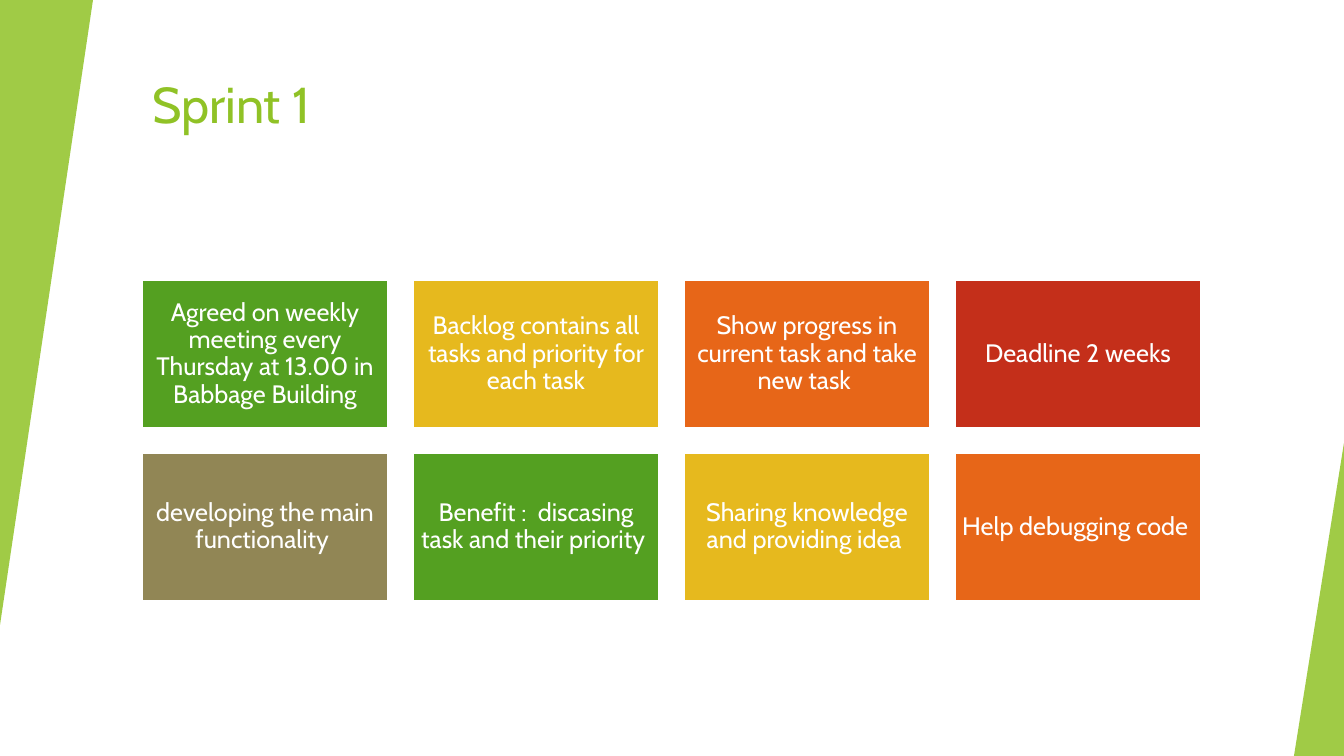
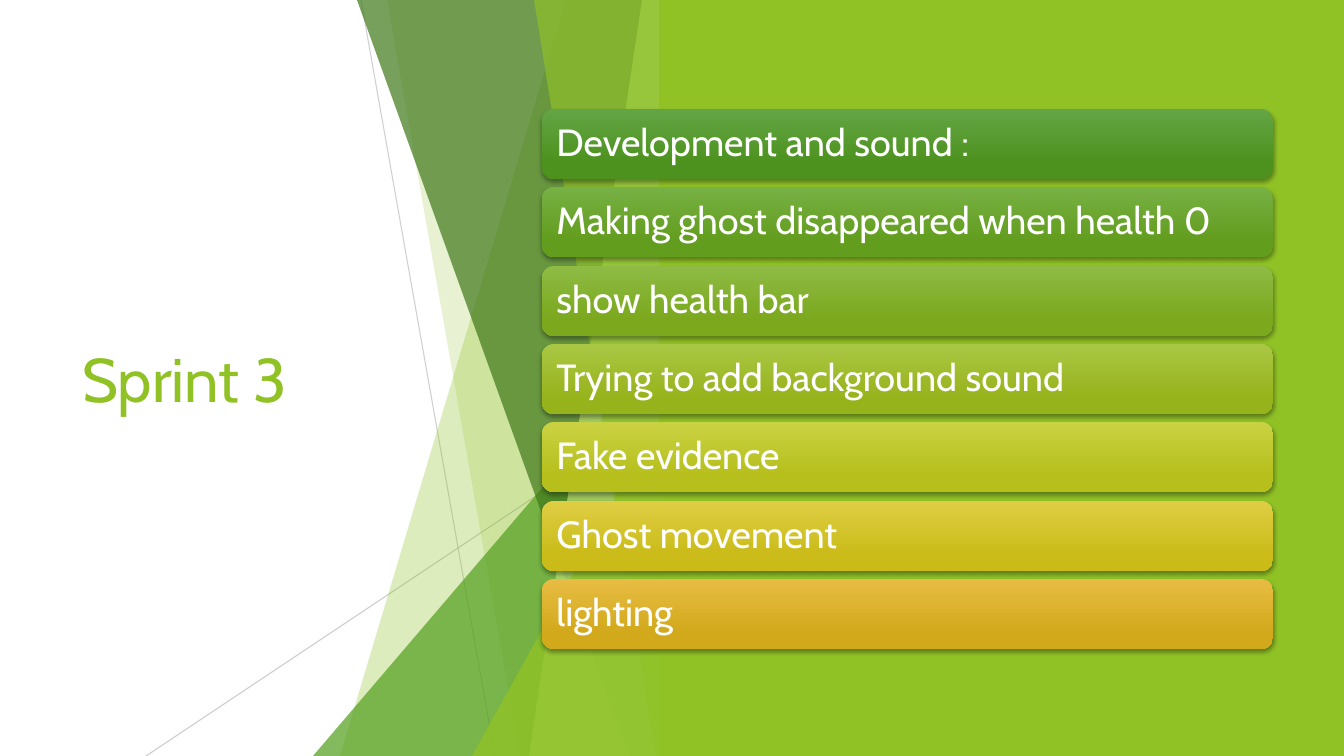
"""Build two sprint slides with a green facet theme."""
from dataclasses import dataclass

from lxml.etree import SubElement
from pptx import Presentation
from pptx.dml.color import RGBColor
from pptx.enum.shapes import MSO_CONNECTOR, MSO_SHAPE
from pptx.enum.text import MSO_ANCHOR, MSO_AUTO_SIZE, PP_ALIGN
from pptx.oxml.ns import qn
from pptx.util import Emu, Pt

SLIDE_WIDTH, SLIDE_HEIGHT = 1344, 756
EMU_PER_PX = 12192000 / SLIDE_WIDTH
TITLE_ONLY_LAYOUT = 5
FONT = "Cabin"
WHITE, GRAY = "FFFFFF", "BFBFBF"
LIME, PALE_LIME, GREEN, DARK_GREEN = "90C226", "C0E474", "54A021", "3F7819"
YELLOW, ORANGE, RED, OLIVE = "E6B91E", "E76618", "C42F1A", "918655"
FACET_EDGE = 672


@dataclass(frozen=True)
class Box:
    """A rectangle in px."""
    left: int
    top: int
    width: int
    height: int


@dataclass(frozen=True)
class Triangle:
    """A translucent right triangle with its apex at the top right."""
    box: Box
    color: str
    opacity: int
    rotation: int = 0


@dataclass(frozen=True)
class Wedge:
    """A translucent full-height facet with a slanted left side."""
    top_x: int
    bottom_x: int
    color: str
    opacity: int


@dataclass(frozen=True)
class Ray:
    """A thin translucent line."""
    start: tuple[int, int]
    end: tuple[int, int]
    opacity: int


@dataclass(frozen=True)
class Card:
    """A coloured card of the grid."""
    text: str
    color: str


@dataclass(frozen=True)
class Bar:
    """A gradient bar of the list."""
    text: str
    light: str
    dark: str


SIDE_TRIANGLES = [
    Triangle(Box(0, 0, 93, 625), LIME, 85, 180),
    Triangle(Box(1294, 443, 50, 313), LIME, 85),
]
RAYS = [
    Ray((361, 0), (495, SLIDE_HEIGHT), 75),
    Ray((671, 406), (146, SLIDE_HEIGHT), 80),
]
FACETS = [
    Wedge(566, 340, LIME, 30),
    Wedge(387, 520, LIME, 20),
    Triangle(Box(313, 336, 359, 420), GREEN, 72),
    Wedge(357, 629, DARK_GREEN, 70),
    Wedge(642, 529, PALE_LIME, 70),
    Wedge(534, 656, LIME, 65),
    Triangle(Box(472, 396, 200, 360), LIME, 80),
]
CARDS = [
    Card("Agreed on weekly meeting every Thursday at 13.00 in Babbage Building", GREEN),
    Card("Backlog contains all tasks and priority for each task", YELLOW),
    Card("Show progress in current task and take new task ", ORANGE),
    Card("Deadline 2 weeks", RED),
    Card("developing the main functionality ", OLIVE),
    Card("Benefit :  discasing task and their priority ", GREEN),
    Card("Sharing knowledge and providing idea ", YELLOW),
    Card("Help debugging code  ", ORANGE),
]
CARD_COLUMNS, CARD_GAP = 4, 25
FIRST_CARD = Box(142, 280, 246, 148)
BARS = [
    Bar("Development and sound :", "63A545", "4D921E"),
    Bar("Making ghost disappeared when health 0", "77B044", "629D1E"),
    Bar("show health bar", "8EBB44", "7BA81D"),
    Bar("Trying to add background sound", "AAC744", "97B31C"),
    Bar("Fake evidence", "CAD243", "B6BF1B"),
    Bar("Ghost movement", "DFCE43", "CABB19"),
    Bar("lighting", "E7BC43", "D2A91B"),
]
FIRST_BAR, LAST_BAR_TOP = Box(542, 109, 731, 70), 579


def px(length: int) -> Emu:
    """Turn px into EMU."""
    return Emu(round(length * EMU_PER_PX))


def rgb(color: str) -> RGBColor:
    """Turn a hex string into a colour."""
    return RGBColor.from_string(color)


def place(box: Box) -> tuple[Emu, Emu, Emu, Emu]:
    """Give the position and size of a box in EMU."""
    return px(box.left), px(box.top), px(box.width), px(box.height)


def set_opacity(shape, percent: int) -> None:
    """Make the only colour of a shape or connector translucent."""
    color = shape.element.spPr.find(".//" + qn("a:srgbClr"))
    SubElement(color, qn("a:alpha"), val=str(percent * 1000))


def add_plain_shape(slide, kind, box: Box):
    """Add a preset shape without line or shadow."""
    shape = slide.shapes.add_shape(kind, *place(box))
    shape.shadow.inherit = False
    shape.line.fill.background()
    return shape


def fill_solid(shape, color: str) -> None:
    """Fill a shape with one colour."""
    shape.fill.solid()
    shape.fill.fore_color.rgb = rgb(color)


def write(shape, text: str, size: int, color: str, alignment, anchor):
    """Write one run of text into a shape and return its paragraph."""
    frame = shape.text_frame
    frame.word_wrap = True
    frame.auto_size = MSO_AUTO_SIZE.NONE
    frame.vertical_anchor = anchor
    paragraph = frame.paragraphs[0]
    paragraph.alignment = alignment
    run = paragraph.add_run()
    run.text = text
    run.font.name = FONT
    run.font.size = Pt(size)
    run.font.color.rgb = rgb(color)
    return paragraph


def write_label(shape, text: str, size: int, alignment, inset: int) -> None:
    """Write a white label with tight lines and equal insets."""
    paragraph = write(shape, text, size, WHITE, alignment, MSO_ANCHOR.MIDDLE)
    paragraph.line_spacing = 0.9
    frame = shape.text_frame
    frame.margin_left = frame.margin_right = px(inset)
    frame.margin_top = frame.margin_bottom = px(inset)


def add_titled_slide(presentation, title: str, box: Box, size: int, anchor):
    """Add a slide with a lime title."""
    slide = presentation.slides.add_slide(presentation.slide_layouts[TITLE_ONLY_LAYOUT])
    shape = slide.shapes.title
    shape.left, shape.top, shape.width, shape.height = place(box)
    write(shape, title, size, LIME, PP_ALIGN.LEFT, anchor)
    return slide


def add_triangle(slide, triangle: Triangle) -> None:
    """Draw a translucent right triangle."""
    shape = add_plain_shape(slide, MSO_SHAPE.ISOSCELES_TRIANGLE, triangle.box)
    shape.adjustments[0] = 1
    shape.rotation = triangle.rotation
    fill_solid(shape, triangle.color)
    set_opacity(shape, triangle.opacity)


def add_wedge(slide, wedge: Wedge) -> None:
    """Draw a facet from its slanted side to the facet edge."""
    builder = slide.shapes.build_freeform(wedge.top_x, 0, EMU_PER_PX)
    builder.add_line_segments([
        (FACET_EDGE, 0), (FACET_EDGE, SLIDE_HEIGHT), (wedge.bottom_x, SLIDE_HEIGHT),
    ])
    shape = builder.convert_to_shape()
    shape.shadow.inherit = False
    shape.line.fill.background()
    fill_solid(shape, wedge.color)
    set_opacity(shape, wedge.opacity)


def add_ray(slide, ray: Ray) -> None:
    """Draw a thin gray line."""
    ends = [px(length) for length in ray.start + ray.end]
    connector = slide.shapes.add_connector(MSO_CONNECTOR.STRAIGHT, *ends)
    connector.line.color.rgb = rgb(GRAY)
    connector.line.width = Pt(0.75)
    set_opacity(connector, ray.opacity)
    SubElement(connector.element.spPr, qn("a:effectLst"))


def add_card(slide, card: Card, index: int) -> None:
    """Draw one card at its place in the grid."""
    row, column = divmod(index, CARD_COLUMNS)
    box = Box(
        FIRST_CARD.left + column * (FIRST_CARD.width + CARD_GAP),
        FIRST_CARD.top + row * (FIRST_CARD.height + CARD_GAP),
        FIRST_CARD.width, FIRST_CARD.height,
    )
    shape = add_plain_shape(slide, MSO_SHAPE.RECTANGLE, box)
    fill_solid(shape, card.color)
    shape.line.color.rgb = rgb(WHITE)
    shape.line.width = Pt(1.5)
    write_label(shape, card.text, 18, PP_ALIGN.CENTER, 7)


def add_soft_shadow(shape) -> None:
    """Give a shape a soft shadow below it."""
    effects = shape.element.spPr.find(qn("a:effectLst"))
    shadow = SubElement(
        effects, qn("a:outerShdw"), blurRad=str(Pt(3)), dist=str(Pt(2)),
        dir="5400000", algn="ctr", rotWithShape="0",
    )
    color = SubElement(shadow, qn("a:srgbClr"), val="000000")
    SubElement(color, qn("a:alpha"), val="35000")


def add_bar(slide, bar: Bar, index: int) -> None:
    """Draw one gradient bar of the list."""
    offset = round((LAST_BAR_TOP - FIRST_BAR.top) * index / (len(BARS) - 1))
    box = Box(FIRST_BAR.left, FIRST_BAR.top + offset, FIRST_BAR.width, FIRST_BAR.height)
    shape = add_plain_shape(slide, MSO_SHAPE.ROUNDED_RECTANGLE, box)
    shape.fill.gradient()
    shape.fill.gradient_angle = 270
    light_stop, dark_stop = shape.fill.gradient_stops
    light_stop.color.rgb = rgb(bar.light)
    dark_stop.color.rgb = rgb(bar.dark)
    dark_stop.position = 0.78
    add_soft_shadow(shape)
    write_label(shape, bar.text, 27, PP_ALIGN.LEFT, 11)


def build_first_sprint(presentation) -> None:
    """Build the slide with the card grid."""
    slide = add_titled_slide(
        presentation, "Sprint 1", Box(142, 68, 1124, 121), 36, MSO_ANCHOR.TOP)
    for triangle in SIDE_TRIANGLES:
        add_triangle(slide, triangle)
    for index, card in enumerate(CARDS):
        add_card(slide, card, index)


def build_third_sprint(presentation) -> None:
    """Build the slide with facets and the bar list."""
    slide = add_titled_slide(
        presentation, "Sprint 3", Box(72, 152, 391, 452), 44, MSO_ANCHOR.MIDDLE)
    for ray in RAYS:
        add_ray(slide, ray)
    for facet in FACETS:
        if isinstance(facet, Wedge):
            add_wedge(slide, facet)
        else:
            add_triangle(slide, facet)
    panel = add_plain_shape(slide, MSO_SHAPE.RECTANGLE, Box(659, 0, 685, SLIDE_HEIGHT))
    fill_solid(panel, LIME)
    for index, bar in enumerate(BARS):
        add_bar(slide, bar, index)


def main() -> None:
    """Build and save the presentation."""
    presentation = Presentation()
    presentation.slide_width = px(SLIDE_WIDTH)
    presentation.slide_height = px(SLIDE_HEIGHT)
    build_first_sprint(presentation)
    build_third_sprint(presentation)
    presentation.save("out.pptx")


if __name__ == "__main__":
    main()
